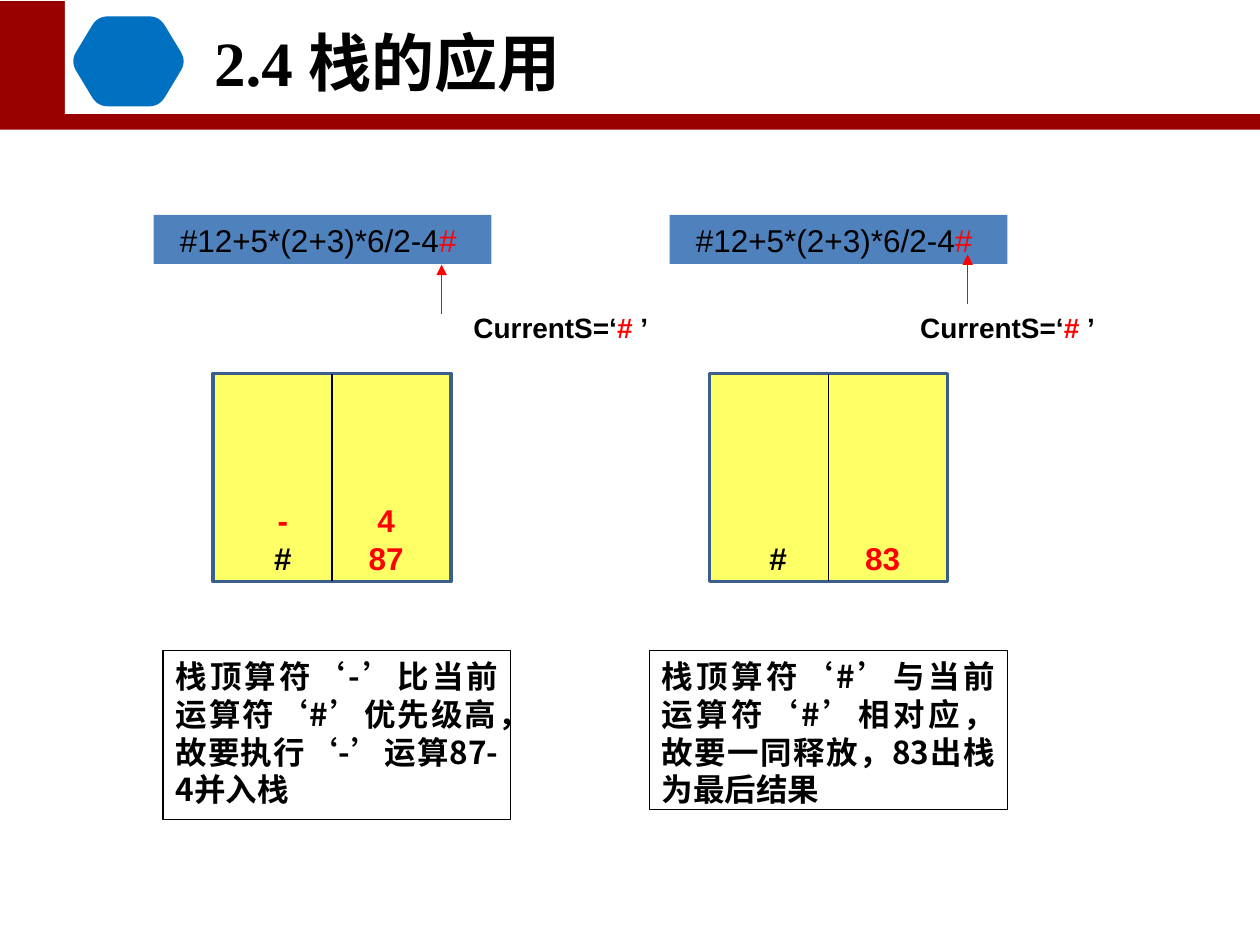
import itertools
import math
from dataclasses import dataclass

import lxml.etree
import pptx
import pptx.dml.color
import pptx.enum.shapes
import pptx.enum.text
import pptx.oxml.ns
import pptx.util

COLS, ROWS = 100, 75
ALIGN = pptx.enum.text.PP_ALIGN
ANCHOR = pptx.enum.text.MSO_ANCHOR
RECT = pptx.enum.shapes.MSO_SHAPE.RECTANGLE


@dataclass(frozen=True)
class Theme:
    band: str = "990000"
    badge: str = "0070C0"
    strip: str = "4F81BD"
    stack: str = "FFFF66"
    edge: str = "3A5F8C"
    white: str = "FFFFFF"
    ink: str = "000000"
    mark: str = "FF0000"
    latin: str = "Arial"
    han: str = "Noto Sans CJK SC"
    quote: str = "Cambria"
    serif: str = "Times New Roman"
    head: int = 36
    base: int = 18
    small: int = 16
    thin: float = 0.75
    thick: float = 2


T = Theme()


def cell(n):
    return pptx.util.Inches(n * 10 / COLS)


def cells(*nums):
    return [cell(n) for n in nums]


def rgb(code):
    return pptx.dml.color.RGBColor.from_string(code)


def paint(shape, fill, edge=None, width=T.thin):
    shape.shadow.inherit = False
    shape.fill.solid()
    shape.fill.fore_color.rgb = rgb(fill)
    if edge:
        shape.line.color.rgb = rgb(edge)
        shape.line.width = pptx.util.Pt(width)
    else:
        shape.line.fill.background()


def box(home, area, fill, edge=None, width=T.thin):
    shape = home.add_shape(RECT, *cells(*area))
    paint(shape, fill, edge, width)
    return shape


def line(home, start, end, color, arrow=False):
    link = home.add_connector(
        pptx.enum.shapes.MSO_CONNECTOR.STRAIGHT, *cells(*start, *end))
    link.line.color.rgb = rgb(color)
    link.line.width = pptx.util.Pt(T.thin)
    qn = pptx.oxml.ns.qn
    if arrow:
        lxml.etree.SubElement(link.line._get_or_add_ln(), qn("a:tailEnd"), type="triangle")
    lxml.etree.SubElement(link._element.spPr, qn("a:effectLst"))


def write(para, runs, size, bold=True):
    for text, color, face in runs:
        run = para.add_run()
        run.text = text
        font = run.font
        font.size = pptx.util.Pt(size)
        font.bold = bold
        font.color.rgb = rgb(color)
        font.name = face
        lxml.etree.SubElement(font._element, pptx.oxml.ns.qn("a:ea"), typeface=T.han)


def fill_text(shape, paras, size, align, anchor, wrap=False, bold=True):
    frame = shape.text_frame
    frame.word_wrap = wrap
    frame.vertical_anchor = anchor
    for i, runs in enumerate(paras):
        para = frame.add_paragraph() if i else frame.paragraphs[0]
        para.alignment = align
        write(para, runs, size, bold)


def strip(home, left):
    shape = box(home, (left, 17.05, 26.8, 3.9), T.strip)
    runs = [("#12+5*(2+3)*6/2-4", T.ink, T.latin), ("# ", T.mark, T.latin)]
    fill_text(shape, [runs], T.base, ALIGN.CENTER, ANCHOR.MIDDLE, bold=False)


def label(home, left):
    shape = home.add_textbox(*cells(left, 24.1, 18.3, 3.7))
    runs = [("CurrentS=‘", T.ink, T.latin), ("# ", T.mark, T.latin), ("’", T.ink, T.latin)]
    fill_text(shape, [runs], T.small, ALIGN.LEFT, ANCHOR.MIDDLE)


def stack(home, left):
    group = home.add_group_shape().shapes
    box(group, (left, 29.65, 18.9, 16.5), T.stack, T.edge, T.thick)
    line(group, (left + 9.45, 29.65), (left + 9.45, 46.1), T.ink)


def pile(home, left, top, width, items):
    shape = home.add_textbox(*cells(left, top, width, 46.1 - top))
    frame = shape.text_frame
    frame.margin_left = frame.margin_right = 0
    frame.margin_bottom = cell(0.3)
    paras = [[(text, color, T.latin)] for text, color in items]
    fill_text(shape, paras, T.base, ALIGN.CENTER, ANCHOR.BOTTOM)


def note(home, area, text, quote):
    shape = box(home, area, T.white, T.ink)
    parts = itertools.groupby(text, lambda c: quote if c in "‘’" else T.han)
    runs = [("".join(part), T.ink, face) for face, part in parts]
    fill_text(shape, [runs], T.base, ALIGN.JUSTIFY, ANCHOR.TOP, wrap=True)


def badge(home, left, top, width, height):
    right, base, mid = left + width, top + height, top + height / 2
    slant, trim = 2.15, 0.85
    tips = [(left, mid), (left + slant, top), (right - slant, top),
            (right, mid), (right - slant, base), (left + slant, base)]
    dots = []
    for i, tip in enumerate(tips):
        ends = []
        for near in (tips[i - 1], tips[(i + 1) % 6]):
            share = trim / math.dist(tip, near)
            ends.append([a + (b - a) * share for a, b in zip(tip, near)])
        for t in (n / 6 for n in range(7)):
            dots.append(tuple(cell((1 - t) ** 2 * a + 2 * t * (1 - t) * b + t * t * c)
                              for a, b, c in zip(ends[0], tip, ends[1])))
    path = home.build_freeform(*dots[0])
    path.add_line_segments(dots[1:], close=True)
    paint(path.convert_to_shape(), T.badge)


def title(slide):
    shape = slide.shapes.title
    shape.left, shape.top, shape.width, shape.height = cells(-5.05, 1.3, 71.6, 7.1)
    shape.text_frame.auto_size = pptx.enum.text.MSO_AUTO_SIZE.NONE
    runs = [("2.4 ", T.ink, T.serif), ("栈的应用", T.ink, T.han)]
    fill_text(shape, [runs], T.head, ALIGN.CENTER, ANCHOR.MIDDLE, wrap=True)
    slide.shapes._spTree.append(shape._element)


def main():
    deck = pptx.Presentation()
    deck.slide_width, deck.slide_height = cells(COLS, ROWS)
    slide = deck.slides.add_slide(deck.slide_layouts[5])
    home = slide.shapes

    box(home, (0, 0.1, COLS, 10.2), T.band)
    box(home, (5.15, 0, COLS - 5.15, 9.05), T.white)

    for left, well, tip, point, tag in (
            (12.2, 16.9, 35.05, 21, 36.6), (53.15, 56.3, 76.8, 20.2, 72.05)):
        strip(home, left)
        stack(home, well)
        line(home, (tip, point + 3.9), (tip, point), T.mark, arrow=True)
        label(home, tag)

    pile(home, 20.1, 30.4, 4.7, [("-", T.mark), ("#", T.ink)])
    pile(home, 28.7, 36.7, 3.9, [("4", T.mark), ("87", T.mark)])
    pile(home, 59.4, 34.4, 4.7, [("#", T.ink)])
    pile(home, 68.1, 34.4, 3.9, [("83", T.mark)])

    note(home, (12.95, 51.65, 27.6, 13.4),
         "栈顶算符‘-’比当前运算符‘#’优先级高，故要执行‘-’运算87-4并入栈", T.quote)
    note(home, (51.55, 51.65, 28.4, 12.6),
         "栈顶算符‘#’与当前运算符‘#’相对应，故要一同释放，83出栈为最后结果", T.han)

    badge(home, 5.6, 1.3, 9.2, 7.15)
    title(slide)
    deck.save("out.pptx")


if __name__ == "__main__":
    main()
